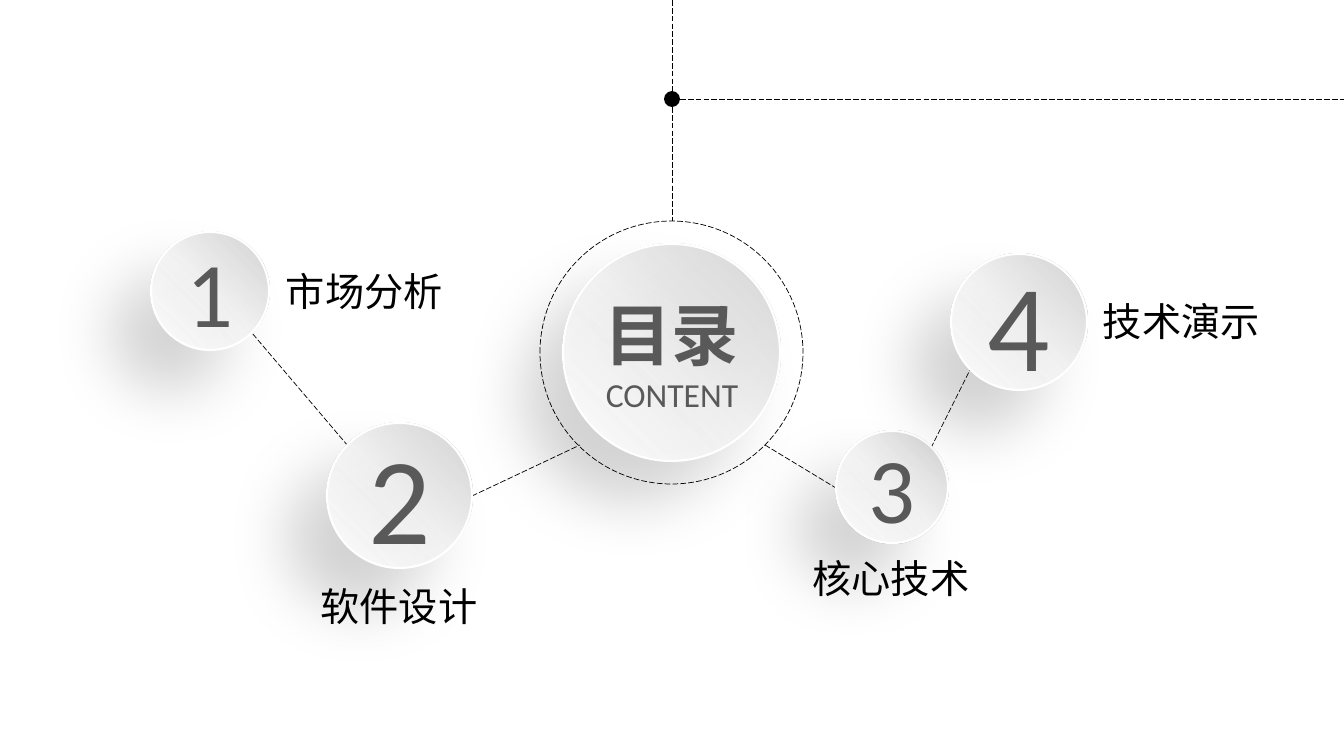
from lxml import etree
from pptx import Presentation
from pptx.dml.color import RGBColor
from pptx.enum.dml import MSO_LINE
from pptx.enum.shapes import MSO_CONNECTOR, MSO_SHAPE
from pptx.enum.text import MSO_ANCHOR, MSO_AUTO_SIZE, PP_ALIGN
from pptx.oxml import parse_xml
from pptx.oxml.ns import nsdecls, qn
from pptx.util import Emu, Pt

BLACK = RGBColor(0x00, 0x00, 0x00)
WHITE = RGBColor(0xFF, 0xFF, 0xFF)
SILVER = RGBColor(0xF2, 0xF2, 0xF2)
STEEL = RGBColor(0xBF, 0xBF, 0xBF)
GREY = RGBColor(0x59, 0x59, 0x59)

EMU_PER_PX = 914400 / 100.8
WIDTH, HEIGHT = 1344, 756
AXIS_X, BRANCH_Y = 672, 99
DOT = 16

LINKS = [
    ((472, 496), (580, 445)),
    ((765, 445), (836, 488)),
    ((931, 448), (970, 370)),
    ((348, 446), (252, 333)),
]
TOPICS = [
    ("3", (836, 431, 112), 66, "核心技术", (743, 549, 296), PP_ALIGN.CENTER),
    ("4", (951, 254, 136), 88, "技术演示", (1093, 292, 186), PP_ALIGN.LEFT),
    ("2", (327, 423, 145), 88, "软件设计", (286, 577, 226), PP_ALIGN.CENTER),
    ("1", (151, 232, 118), 66, "市场分析", (276, 262, 226), PP_ALIGN.LEFT),
]


def px(*lengths):
    return [Emu(round(length * EMU_PER_PX)) for length in lengths]


def style_line(line):
    line.color.rgb = BLACK
    line.width = Pt(0.5)
    line.dash_style = MSO_LINE.LONG_DASH


def add_dashed_line(shapes, start, end):
    connector = shapes.add_connector(MSO_CONNECTOR.STRAIGHT, *px(*start, *end))
    style_line(connector.line)
    etree.SubElement(connector._element.spPr, qn("a:effectLst"))


def add_circle(shapes, left, top, size):
    circle = shapes.add_shape(MSO_SHAPE.OVAL, *px(left, top, size, size))
    circle.shadow.inherit = False
    return circle


def add_disc(shapes, left, top, size, edge_alpha=70):
    disc = add_circle(shapes, left, top, size)
    disc.line.color.rgb = WHITE
    disc.line.width = Pt(1.5)
    stops = "".join(
        f'<a:gs pos="{position * 1000}"><a:srgbClr val="{color}">'
        f'<a:alpha val="{alpha * 1000}"/></a:srgbClr></a:gs>'
        for position, color, alpha in [(0, WHITE, 100), (50, SILVER, 80), (100, STEEL, edge_alpha)]
    )
    gradient = parse_xml(
        f'<a:gradFill {nsdecls("a")} rotWithShape="1"><a:gsLst>{stops}</a:gsLst>'
        '<a:path path="circle"><a:fillToRect t="100000" r="100000"/></a:path></a:gradFill>'
    )
    shadow = parse_xml(
        f'<a:outerShdw {nsdecls("a")} blurRad="{Pt(45)}" dist="{Pt(40)}" dir="8100000" '
        f'algn="tr" rotWithShape="0"><a:srgbClr val="{BLACK}"><a:alpha val="20000"/>'
        '</a:srgbClr></a:outerShdw>'
    )
    properties = disc._element.spPr
    properties.find(qn("a:ln")).addprevious(gradient)
    properties.find(qn("a:effectLst")).append(shadow)
    return disc


def format_paragraph(paragraph, font_name, size, color, alignment, bold=False):
    paragraph.alignment = alignment
    for run in paragraph.runs:
        font = run.font
        font.name = font_name
        font.size = Pt(size)
        font.bold = bold
        font.color.rgb = color
        etree.SubElement(font._element, qn("a:ea"), typeface=font_name)


def add_text(shapes, box, text, wrap):
    frame = shapes.add_textbox(*px(*box)).text_frame
    frame.word_wrap = wrap
    frame.auto_size = MSO_AUTO_SIZE.SHAPE_TO_FIT_TEXT
    frame.text = text
    return frame.paragraphs


def add_topic(shapes, number, disc_box, size, label, label_box, alignment):
    frame = add_disc(shapes, *disc_box).text_frame
    frame.margin_left, frame.margin_top, frame.margin_right, frame.margin_bottom = px(4, 4, 4, 4)
    frame.vertical_anchor = MSO_ANCHOR.MIDDLE
    frame.text = number
    format_paragraph(frame.paragraphs[0], "Calibri", size, GREY, PP_ALIGN.CENTER)
    paragraph = add_text(shapes, (*label_box, 57), label, True)[0]
    format_paragraph(paragraph, "Roboto", 28, BLACK, alignment)


def add_hub(shapes, left, top, size):
    group = shapes.add_group_shape().shapes
    inset = 23
    add_disc(group, left + inset, top + inset, size - 2 * inset, edge_alpha=64)
    title, subtitle = add_text(group, (left + 54, top + 67, 156, 132), "目录\nCONTENT", False)
    format_paragraph(title, "Noto Sans CJK SC", 48, GREY, PP_ALIGN.CENTER, bold=True)
    format_paragraph(subtitle, "Calibri", 24, GREY, PP_ALIGN.CENTER)
    ring = add_circle(shapes, left, top, size)
    ring.fill.background()
    style_line(ring.line)


def add_branch(shapes, axis_x, branch_y, bottom):
    radius = DOT // 2
    add_dashed_line(shapes, (axis_x, 0), (axis_x, branch_y - radius))
    add_dashed_line(shapes, (axis_x, branch_y + radius), (axis_x, bottom))
    add_dashed_line(shapes, (axis_x + radius, branch_y), (WIDTH, branch_y))
    dot = add_circle(shapes, axis_x - radius, branch_y - radius, DOT)
    dot.fill.solid()
    dot.fill.fore_color.rgb = BLACK
    dot.line.fill.background()


def main():
    presentation = Presentation()
    presentation.slide_width, presentation.slide_height = px(WIDTH, HEIGHT)
    slide = presentation.slides.add_slide(presentation.slide_layouts[6])
    shapes = slide.shapes
    for start, end in LINKS:
        add_dashed_line(shapes, start, end)
    for topic in TOPICS:
        add_topic(shapes, *topic)
    add_hub(shapes, 540, 221, 263)
    add_branch(shapes, AXIS_X, BRANCH_Y, 221)
    presentation.save("out.pptx")


if __name__ == "__main__":
    main()
